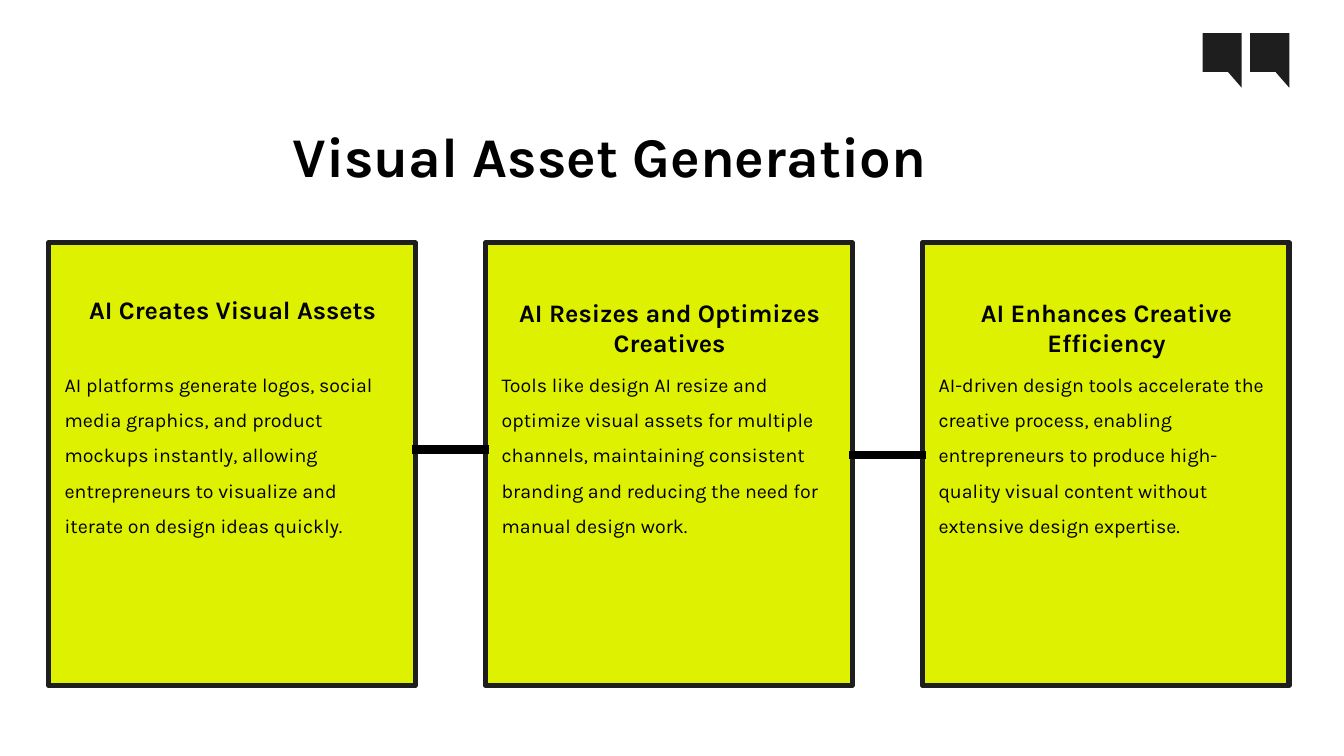
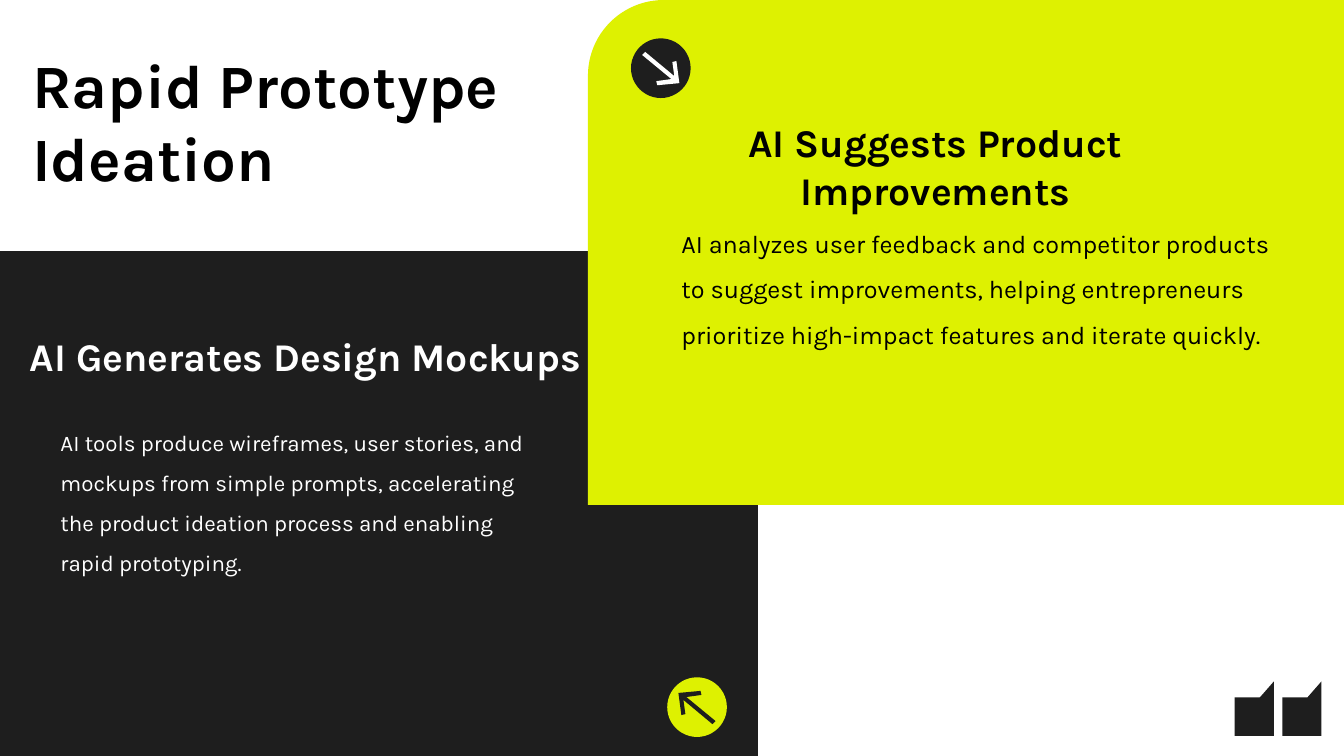
from lxml.etree import SubElement
from pptx import Presentation
from pptx.dml.color import RGBColor
from pptx.enum.shapes import MSO_CONNECTOR, MSO_SHAPE
from pptx.enum.text import MSO_ANCHOR, MSO_AUTO_SIZE, PP_ALIGN
from pptx.oxml.ns import qn
from pptx.util import Pt

# Shared style
HUES = {"lime": "DEF101", "dark": "1E1E1E", "black": "000000", "white": "FFFFFF"}
HUES = {name: RGBColor.from_string(code) for name, code in HUES.items()}
FRAME = {"word_wrap": True, "auto_size": MSO_AUTO_SIZE.SHAPE_TO_FIT_TEXT,
         "vertical_anchor": MSO_ANCHOR.MIDDLE}
ROLES = {
    "title": {"bold": True, "align": PP_ALIGN.LEFT, "space": 1.0},
    "head": {"bold": True, "align": PP_ALIGN.CENTER, "space": 1.0},
    "body": {"bold": False, "align": PP_ALIGN.LEFT, "space": 1.5},
}
QUOTE = [(0, 0), (28, 0), (28, 39), (18, 27.6), (0, 27.6)]
ARROW = [(2.2, 0), (0, 2.2), (20.9, 19.4), (10.1, 20.9), (10.8, 23.8),
         (26.6, 22.3), (24.5, 6.5), (21.6, 7.2), (23, 17.3)]


def write(shape, text, role, size, hue, box):
    """Place a text shape and give it one paragraph in the style of its role."""
    for key, value in zip(("left", "top", "width", "height"), box):
        setattr(shape, key, Pt(value))
    frame = shape.text_frame
    frame.text = text
    for key, value in FRAME.items():
        setattr(frame, key, value)
    style = ROLES[role]
    para = frame.paragraphs[0]
    looks = {"alignment": style["align"], "line_spacing": style["space"],
             "space_before": Pt(0)}
    for key, value in looks.items():
        setattr(para, key, value)
    props = para._p.get_or_add_pPr()
    props.set("marL", "0")
    props.set("indent", "0")
    SubElement(props, qn("a:buNone"))
    font = para.runs[0].font
    for key, value in {"name": "Karla", "size": Pt(size), "bold": style["bold"]}.items():
        setattr(font, key, value)
    font.color.rgb = HUES[hue]


def paint(shape, hue):
    """Give a shape a flat fill without line or shadow."""
    shape.shadow.inherit = False
    shape.fill.solid()
    shape.fill.fore_color.rgb = HUES[hue]
    shape.line.fill.background()
    return shape


deck = Presentation()
deck.slide_width, deck.slide_height = Pt(960), Pt(540)
first = deck.slides.add_slide(deck.slide_layouts.get_by_name("Title Only"))
second = deck.slides.add_slide(deck.slide_layouts.get_by_name("Comparison"))

# Slide 1: title and three linked cards
write(first.shapes.title, "Visual Asset Generation", "title", 40, "black",
      (201.6, 86.4, 557.3, 48.2))

cards = [
    ("AI Creates Visual Assets", 22.3,
     "AI platforms generate logos, social media graphics, and product mockups "
     "instantly, allowing entrepreneurs to visualize and iterate on design ideas quickly."),
    ("AI Resizes and Optimizes Creatives", 46.8,
     "Tools like design AI resize and optimize visual assets for multiple channels, "
     "maintaining consistent branding and reducing the need for manual design work."),
    ("AI Enhances Creative Efficiency", 46.8,
     "AI-driven design tools accelerate the creative process, enabling entrepreneurs "
     "to produce high-quality visual content without extensive design expertise."),
]
START, STEP = 34.6, 312.1
for col, (head, tall, body) in enumerate(cards):
    left = START + col * STEP
    card = paint(first.shapes.add_shape(
        MSO_SHAPE.RECTANGLE, Pt(left), Pt(173.5), Pt(262), Pt(316)), "lime")
    card.line.color.rgb = HUES["dark"]
    card.line.width = Pt(3.75)
    parts = [(head, "head", 18, 210.2, 254.2, tall), (body, "body", 14, 257.8, 250.6, 126)]
    for text, role, size, top, wide, high in parts:
        area = first.shapes.add_textbox(0, 0, 0, 0)
        write(area, text, role, size, "black", (left + 4.5, top, wide, high))

# Links between the cards
for col, level in enumerate((321.1, 324.8)):
    left = START + col * STEP + 260
    link = first.shapes.add_connector(
        MSO_CONNECTOR.STRAIGHT, Pt(left), Pt(level), Pt(left + 54.6), Pt(level))
    link.line.color.rgb = HUES["black"]
    link.line.width = Pt(6)
    SubElement(link.element.spPr, qn("a:effectLst"))

# Slide 2: two panels, each with a round arrow badge
panels = [
    ("dark", "lime", "dark", 0, 179.3, 541.4, (476.6, 483.8), True),
    ("lime", "dark", "white", 420, 0, 540, (450.7, 27.4), False),
]
glyphs = []
for hue, disc, tip, left, top, wide, (across, down), back in panels:
    panel = paint(second.shapes.add_shape(
        MSO_SHAPE.ROUND_1_RECTANGLE, Pt(left), Pt(top), Pt(wide), Pt(360.7)), hue)
    panel.adjustments[0] = 0.15
    if not back:
        panel.element.spPr.find(qn("a:xfrm")).set("flipH", "1")
    paint(second.shapes.add_shape(
        MSO_SHAPE.OVAL, Pt(across), Pt(down), Pt(42.6), Pt(42.6)), disc)
    turned = [(26.6 - x, 23.8 - y) for x, y in ARROW] if back else ARROW
    glyphs.append((second, turned, across + 8, down + 9.7, tip))

# Quote marks, upside down on slide 2
flipped = [(x, 39 - y) for x, y in QUOTE]
for shift in (0, 34):
    glyphs.append((first, QUOTE, 859 + shift, 23.7, "dark"))
    glyphs.append((second, flipped, 882 + shift, 486.7, "dark"))

# Outlines of arrows and quote marks
for slide, spots, left, top, hue in glyphs:
    dots = [(Pt(left + x), Pt(top + y)) for x, y in spots]
    pen = slide.shapes.build_freeform(*dots[0])
    pen.add_line_segments(dots[1:], close=True)
    paint(pen.convert_to_shape(), hue)

# Slide 2 text, brought in front of the panels
texts = [
    ("Rapid Prototype Ideation", "title", 44, "black", (15.8, 29.5, 386, 113)),
    ("AI Generates Design Mockups", "head", 28, "white", (0, 237.6, 436.3, 33.8)),
    ("AI tools produce wireframes, user stories, and mockups from simple prompts, "
     "accelerating the product ideation process and enabling rapid prototyping.",
     "body", 16, "white", (36, 296.6, 347, 115.2)),
    ("AI Suggests Product Improvements", "head", 28, "black", (450, 82.8, 436.3, 71.3)),
    ("AI analyzes user feedback and competitor products to suggest improvements, "
     "helping entrepreneurs prioritize high-impact features and iterate quickly.",
     "body", 18, "black", (479.5, 136.1, 436.3, 129.6)),
]
for holder, item in zip(list(second.placeholders), texts):
    write(holder, *item)
    second.shapes.element.append(holder.element)

deck.save("out.pptx")
